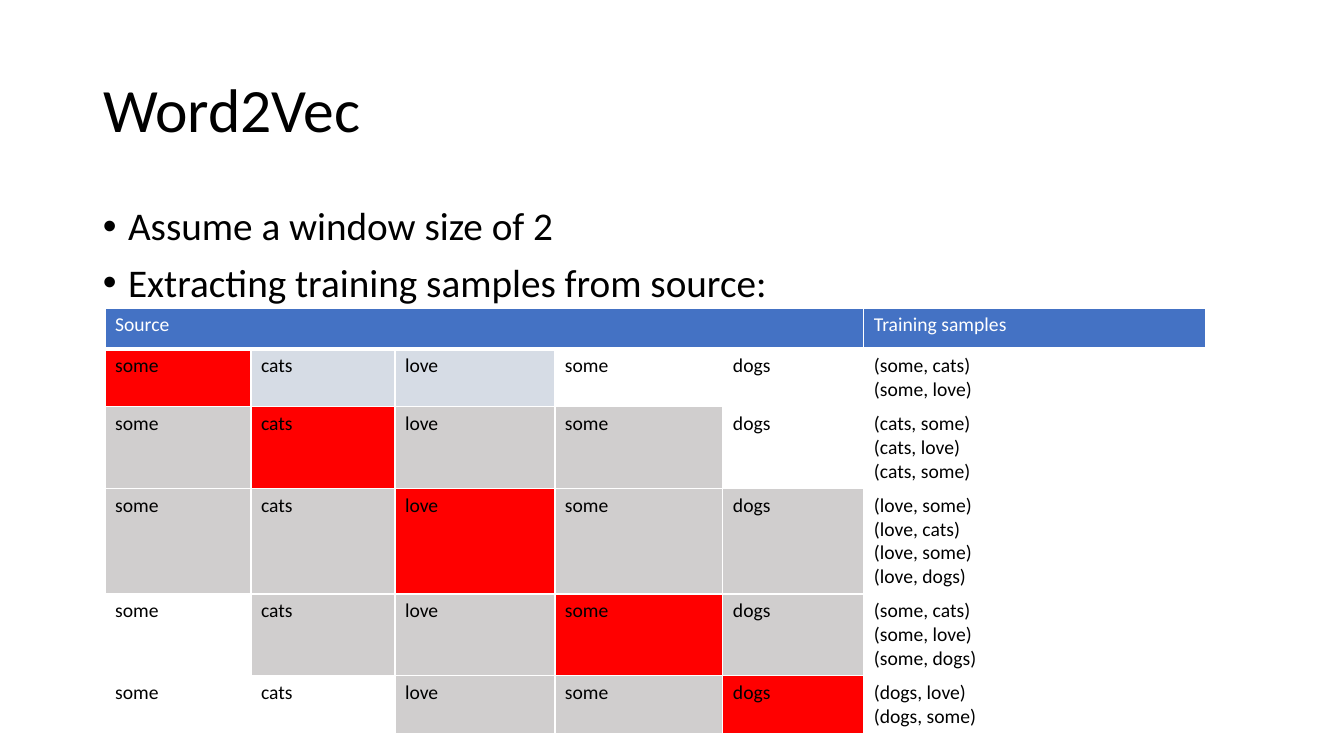
from dataclasses import dataclass

from lxml import etree
from pptx import Presentation
from pptx.dml.color import RGBColor
from pptx.enum.text import MSO_ANCHOR, MSO_AUTO_SIZE, PP_ALIGN
from pptx.oxml.ns import qn
from pptx.util import Inches, Pt

LEFT = PP_ALIGN.LEFT
MIDDLE, TOP = MSO_ANCHOR.MIDDLE, MSO_ANCHOR.TOP
NO_FIT = MSO_AUTO_SIZE.NONE
SCALE = Inches(7.5) / 756
WORDS = ["some", "cats", "love", "some", "dogs"]
WINDOW = 2


def px(n):
    """Turn pixels into EMU."""
    return round(n * SCALE)


@dataclass(frozen=True)
class Theme:
    """Hold the colours and type sizes."""
    font: str = "Calibri"
    ink: str = "000000"
    paper: str = "FFFFFF"
    head: str = "4472C4"
    focus: str = "FF0000"
    near: str = "D0CECE"
    first: str = "D6DCE5"
    title: int = 44
    body: int = 28
    cell: int = 14


class Deck:
    """Draw styled elements on the current slide."""

    def __init__(self, theme):
        """Start a deck with one title-only slide."""
        self.theme = theme
        self.file = Presentation()
        self.file.slide_width, self.file.slide_height = px(1344), px(756)
        self.slide = self.file.slides.add_slide(self.file.slide_layouts[5])

    def fill(self, frame, lines, size, color, bullet=False, **extra):
        """Fill a text frame with one paragraph per line."""
        frame.text = "\n".join(lines)
        for i, para in enumerate(frame.paragraphs):
            if bullet:
                props = para._p.get_or_add_pPr()
                props.set("marL", str(Inches(0.25)))
                props.set("indent", str(-Inches(0.25)))
                etree.SubElement(props, qn("a:buFont")).set("typeface", "Arial")
                etree.SubElement(props, qn("a:buChar")).set("char", "•")
                para.space_before = Pt(10 if i else 0)
            for key, value in {"alignment": LEFT, **extra}.items():
                setattr(para, key, value)
            for run in para.runs:
                look = {"name": self.theme.font, "size": Pt(size), "bold": False}
                for key, value in look.items():
                    setattr(run.font, key, value)
                run.font.color.rgb = RGBColor.from_string(color)

    def place(self, shape, box, anchor):
        """Set the place and frame of a text shape."""
        for key, value in zip(("left", "top", "width", "height"), box):
            setattr(shape, key, px(value))
        look = {"word_wrap": True, "auto_size": NO_FIT, "vertical_anchor": anchor}
        for key, value in look.items():
            setattr(shape.text_frame, key, value)

    def title(self, text, box):
        """Fill the title placeholder."""
        shape = self.slide.shapes.title
        self.place(shape, box, MIDDLE)
        self.fill(shape.text_frame, [text], self.theme.title, self.theme.ink,
                  line_spacing=0.9)

    def list(self, lines, box):
        """Add a bulleted list."""
        shape = self.slide.shapes.add_textbox(*map(px, box))
        self.place(shape, box, TOP)
        self.fill(shape.text_frame, lines, self.theme.body, self.theme.ink,
                  bullet=True, line_spacing=0.9)

    def cell(self, cell, lines, back, color, base=1):
        """Style and fill one table cell."""
        props = cell._tc.get_or_add_tcPr()
        for side, width in {"L": 1, "R": 1, "T": 1, "B": base}.items():
            line = etree.SubElement(props, qn(f"a:ln{side}"), w=str(Pt(width)))
            solid = etree.SubElement(line, qn("a:solidFill"))
            etree.SubElement(solid, qn("a:srgbClr"), val=self.theme.paper)
        cell.fill.solid()
        cell.fill.fore_color.rgb = RGBColor.from_string(back)
        self.fill(cell.text_frame, lines, self.theme.cell, color)

    def table(self, left, top, widths, height, rows):
        """Add an empty table and return it."""
        frame = self.slide.shapes.add_table(
            rows, len(widths), px(left), px(top), px(sum(widths)), px(height * rows))
        table = frame.table
        table.first_row = table.horz_banding = False
        for col, width in zip(table.columns, widths):
            col.width = px(width)
        for row in table.rows:
            row.height = px(height)
        return table


def samples(deck):
    """Draw the table of words and their training pairs."""
    theme, last = deck.theme, len(WORDS)
    table = deck.table(105, 308, [146, 144, 160, 168, 141, 342], 41, last + 1)
    for col in range(last + 1):
        text = {0: ["Source"], last: ["Training samples"]}.get(col, [])
        deck.cell(table.cell(0, col), text, theme.head, theme.paper, base=3)
    table.cell(0, 0).merge(table.cell(0, last - 1))
    for i, word in enumerate(WORDS):
        pairs = []
        for j, other in enumerate(WORDS):
            back = theme.paper
            if i == j:
                back = theme.focus
            elif abs(i - j) <= WINDOW:
                back = theme.near if i else theme.first
                pairs.append(f"({word}, {other})")
            deck.cell(table.cell(i + 1, j), [other], back, theme.ink)
        deck.cell(table.cell(i + 1, last), pairs, theme.paper, theme.ink)


def main():
    """Build and save the slide."""
    deck = Deck(Theme())
    deck.title("Word2Vec", (93, 40, 1159, 146))
    deck.list(["Assume a window size of 2", "Extracting training samples from source:"],
              (93, 202, 1159, 480))
    samples(deck)
    deck.file.save("out.pptx")


if __name__ == "__main__":
    main()
